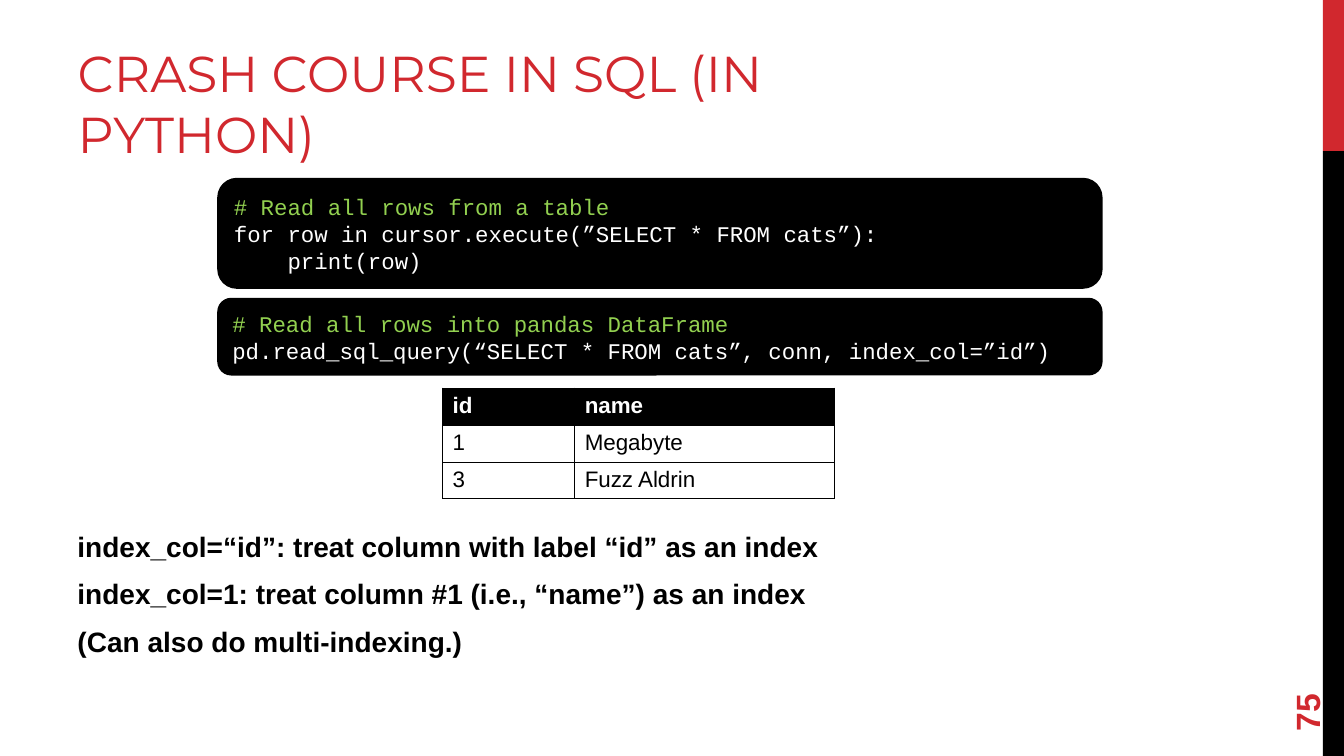
import pptx
import pptx.util
import pptx.dml.color
import pptx.enum.shapes
import pptx.enum.text
import pptx.oxml
import pptx.oxml.ns
from dataclasses import dataclass

Inches = pptx.util.Inches
Pt = pptx.util.Pt
Shape = pptx.enum.shapes.MSO_SHAPE
Anchor = pptx.enum.text.MSO_ANCHOR
Align = pptx.enum.text.PP_ALIGN


@dataclass(frozen=True)
class Theme:
    red: str = "D1282E"
    black: str = "000000"
    white: str = "FFFFFF"
    green: str = "92D050"
    head: str = "Montserrat"
    text: str = "Arial"
    mono: str = "Courier New"
    title: int = 36
    page: int = 24
    body: int = 20
    small: int = 16


THEME = Theme()


def rgb(color):
    return pptx.dml.color.RGBColor.from_string(color)


def add_run(para, text, face, size, color, bold=False):
    para.alignment = Align.LEFT
    run = para.add_run()
    run.text = text
    run.font.name = face
    run.font.size = Pt(size)
    run.font.bold = bold
    run.font.color.rgb = rgb(color)


def set_frame(frame, anchor):
    frame.word_wrap = True
    frame.auto_size = pptx.enum.text.MSO_AUTO_SIZE.NONE
    frame.vertical_anchor = anchor


def next_para(frame, index):
    return frame.add_paragraph() if index else frame.paragraphs[0]


def add_block(slide, kind, box, color):
    block = slide.shapes.add_shape(kind, *map(Inches, box))
    block.shadow.inherit = False
    block.fill.solid()
    block.fill.fore_color.rgb = rgb(color)
    return block


# Side band: red over black, with the page number turned beside it
def add_band(slide, box, split, page):
    left, top, width, height = box
    parts = ((top, split, THEME.red), (top + split, height - split, THEME.black))
    for start, size, color in parts:
        add_block(slide, Shape.RECTANGLE, (left, start, width, size), color).line.fill.background()
    label = slide.shapes.add_textbox(
        Inches(left - 0.88), Inches(top + height - 1.13), Inches(1.44), Inches(0.53))
    label.rotation = 270
    set_frame(label.text_frame, Anchor.MIDDLE)
    add_run(label.text_frame.paragraphs[0], page, THEME.text, THEME.page, THEME.red, True)


# Title
def set_title(slide, box, text):
    title = slide.shapes.title
    title.left, title.top, title.width, title.height = map(Inches, box)
    set_frame(title.text_frame, Anchor.BOTTOM)
    add_run(title.text_frame.paragraphs[0], text, THEME.head, THEME.title, THEME.red)


# Code panel: a green comment, then white code
def add_code(slide, box, lines):
    panel = add_block(slide, Shape.ROUNDED_RECTANGLE, box, THEME.black)
    panel.line.color.rgb = rgb(THEME.black)
    panel.line.width = Pt(2.25)
    frame = panel.text_frame
    set_frame(frame, Anchor.MIDDLE)
    for index, line in enumerate(lines):
        color = THEME.green if line.startswith("#") else THEME.white
        add_run(next_para(frame, index), line, THEME.mono, THEME.small, color)


# Table of cats
def add_edges(cell):
    props = cell._tc.get_or_add_tcPr()
    for side in ("lnL", "lnR", "lnT", "lnB"):
        props.append(pptx.oxml.parse_xml(
            f'<a:{side} {pptx.oxml.ns.nsdecls("a")} w="9525"><a:solidFill>'
            f'<a:srgbClr val="{THEME.black}"/></a:solidFill></a:{side}>'))


def add_cats(slide, box, split, rows):
    left, top, width, height = box
    grid = slide.shapes.add_table(len(rows), 2, *map(Inches, box)).table
    grid.columns[0].width = Inches(split)
    grid.columns[1].width = Inches(width - split)
    for r, row in enumerate(rows):
        head = r == 0
        for c, text in enumerate(row):
            cell = grid.cell(r, c)
            add_edges(cell)
            cell.fill.solid()
            cell.fill.fore_color.rgb = rgb(THEME.black if head else THEME.white)
            color = THEME.white if head else THEME.black
            add_run(cell.text_frame.paragraphs[0], text, THEME.text, THEME.small, color, head)


# Notes on the index column
def add_notes(slide, box, lines):
    frame = slide.shapes.add_textbox(*map(Inches, box)).text_frame
    set_frame(frame, Anchor.TOP)
    for index, line in enumerate(lines):
        para = next_para(frame, index)
        if index:
            para.space_before = Pt(10)
        add_run(para, line, THEME.text, THEME.body, THEME.black, True)


def main():
    deck = pptx.Presentation()
    deck.slide_width, deck.slide_height = Inches(13.33), Inches(7.5)
    slide = deck.slides.add_slide(deck.slide_layouts[5])
    add_band(slide, (13.12, 0, 0.21, 7.5), 1.5, "75")
    set_title(slide, (0.67, 0.17, 8.44, 1.5), "CRASH COURSE IN SQL (IN PYTHON)")
    add_code(slide, (2.17, 1.78, 8.75, 1.07), (
        "# Read all rows from a table",
        "for row in cursor.execute(”SELECT * FROM cats”):",
        "    print(row)"))
    add_code(slide, (2.17, 2.97, 8.75, 0.74), (
        "# Read all rows into pandas DataFrame",
        "pd.read_sql_query(“SELECT * FROM cats”, conn, index_col=”id”)"))
    add_cats(slide, (4.39, 3.85, 3.89, 1.1), 1.31, (
        ("id", "name"), ("1", "Megabyte"), ("3", "Fuzz Aldrin")))
    add_notes(slide, (0.67, 5.2, 11.11, 1.5), (
        "index_col=“id”: treat column with label “id” as an index",
        "index_col=1: treat column #1 (i.e., “name”) as an index",
        "(Can also do multi-indexing.)"))
    deck.save("out.pptx")


if __name__ == "__main__":
    main()
